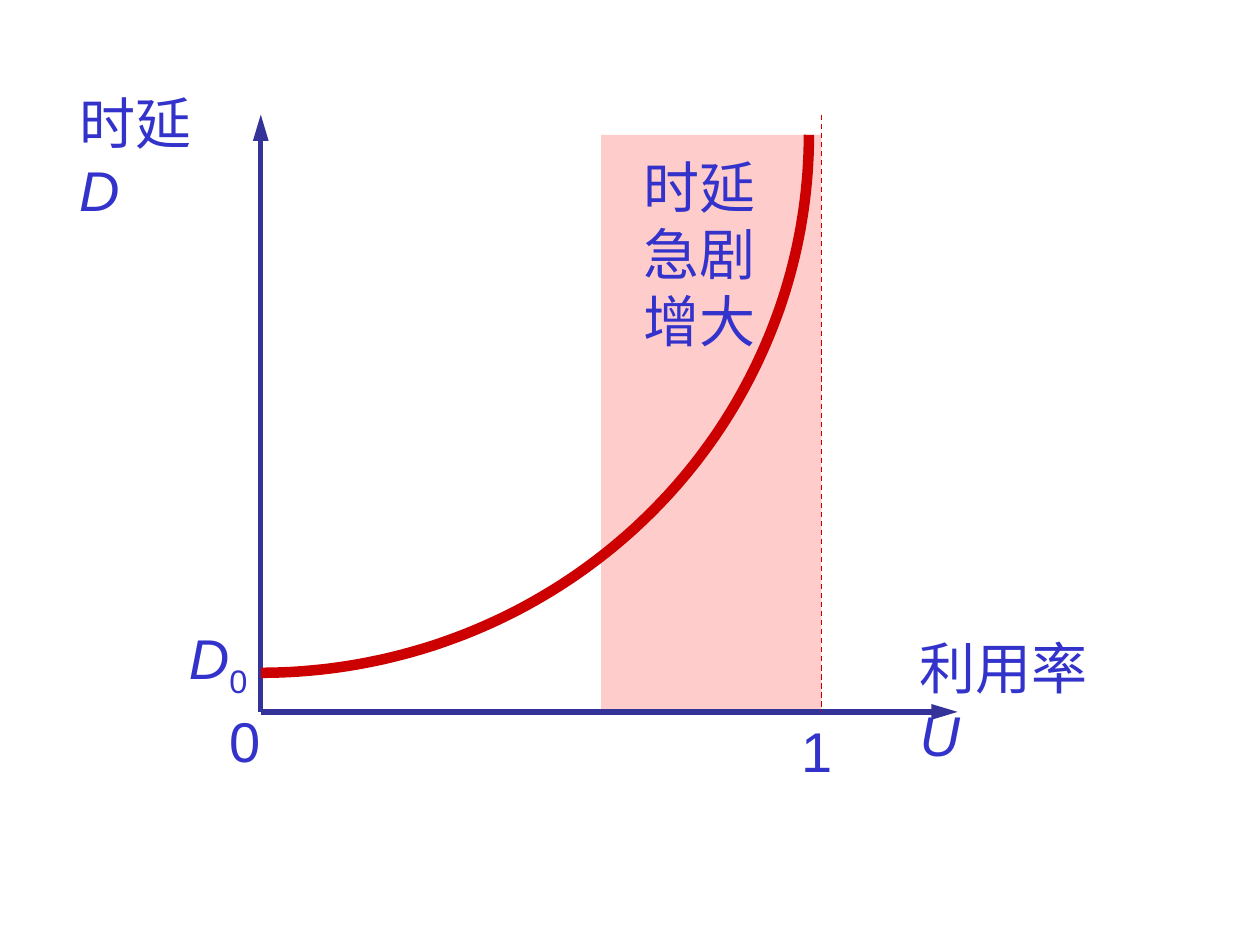
import math

from pptx import Presentation
from pptx.dml.color import RGBColor
from pptx.enum.dml import MSO_LINE
from pptx.enum.shapes import MSO_CONNECTOR, MSO_SHAPE
from pptx.enum.text import MSO_AUTO_SIZE
from pptx.oxml.ns import qn
from pptx.oxml.xmlchemy import OxmlElement
from pptx.util import Inches, Pt

RECT = MSO_SHAPE.RECTANGLE
STRAIGHT = MSO_CONNECTOR.STRAIGHT
DASH = MSO_LINE.DASH
GROW = MSO_AUTO_SIZE.SHAPE_TO_FIT_TEXT

BLUE = RGBColor(0x33, 0x33, 0xCC)
NAVY = RGBColor(0x33, 0x33, 0x99)
RED = RGBColor(0xCC, 0x00, 0x00)
PINK = RGBColor(0xFF, 0xCC, 0xCC)

LEFT, BASE, TOP = 2.07, 5.65, 0.91      # axes
LIMIT = 6.52                            # full use
ZONE, PEAK = 4.77, 1.07                 # shaded part
WIDE, HIGH = 4.35, 4.27                 # radii of the curve
STEPS = 90


class Graph:
    font = "Arial"
    size = 32

    def __init__(self, slide):
        self.shapes = slide.shapes

    def band(self, x, y, w, h, color):
        box = self.shapes.add_shape(RECT, Inches(x), Inches(y), Inches(w), Inches(h))
        box.shadow.inherit = False
        box.fill.solid()
        box.fill.fore_color.rgb = color
        box.line.fill.background()

    def line(self, start, end, color, width, arrow=False, dash=None):
        ends = [Inches(v) for v in (*start, *end)]
        line = self.shapes.add_connector(STRAIGHT, *ends)
        line.line.color.rgb = color
        line.line.width = Pt(width)
        if dash:
            line.line.dash_style = dash
        props = line.element.spPr
        if arrow:
            tip = OxmlElement("a:tailEnd")
            tip.set("type", "triangle")
            tip.set("len", "lg")
            props.find(qn("a:ln")).append(tip)
        props.append(OxmlElement("a:effectLst"))

    def curve(self, points, color, width):
        dots = [(Inches(x), Inches(y)) for x, y in points]
        pen = self.shapes.build_freeform(*dots[0])
        pen.add_line_segments(dots[1:], close=False)
        curve = pen.convert_to_shape()
        curve.shadow.inherit = False
        curve.fill.background()
        curve.line.color.rgb = color
        curve.line.width = Pt(width)

    def text(self, x, y, w, h, *paras, inset=None):
        """Each paragraph is a list of (text, font settings); an inset turns wrapping on."""
        box = self.shapes.add_textbox(Inches(x), Inches(y), Inches(w), Inches(h))
        frame = box.text_frame
        frame.auto_size = GROW
        frame.word_wrap = inset is not None
        if inset is not None:
            frame.margin_right = Inches(inset)
        for i, runs in enumerate(paras):
            para = frame.add_paragraph() if i else frame.paragraphs[0]
            for words, style in runs:
                self.run(para, words, **style)

    def run(self, para, words, size=None, italic=False, shift=None):
        run = para.add_run()
        run.text = words
        font = run.font
        font.name = self.font
        font.size = Pt(size or self.size)
        font.italic = italic
        font.color.rgb = BLUE
        if shift:
            run.font._element.set("baseline", str(shift * 1000))

    def axis_name(self, x, y, w, name, sign):
        """Name with its symbol wrapped to the line below."""
        runs = [(name, {}), (" ", {"size": 16}), (sign, {"italic": True})]
        self.text(x, y, w, 0.63, runs, inset=0.3)


def main():
    prs = Presentation()
    prs.slide_width, prs.slide_height = Inches(10), Inches(7.5)
    graph = Graph(prs.slides.add_slide(prs.slide_layouts[6]))

    graph.band(ZONE, PEAK, LIMIT - ZONE, BASE - PEAK, PINK)
    graph.axis_name(0.53, 0.65, 1.47, "时延", "D")
    graph.line((LEFT, BASE), (LEFT, TOP), NAVY, 3, arrow=True)
    graph.line((LEFT, BASE), (7.6, BASE), NAVY, 3, arrow=True)
    graph.line((LIMIT, TOP), (LIMIT, BASE), RED, 0.75, dash=DASH)

    turns = [math.pi / 2 * i / STEPS for i in range(STEPS + 1)]
    graph.curve([(LEFT + WIDE * math.sin(t), PEAK + HIGH * math.cos(t))
                 for t in turns], RED, 6)

    graph.axis_name(7.2, 4.98, 1.92, "利用率", "U")
    graph.text(6.26, 5.64, 0.45, 0.63, [("1", {})])
    graph.text(1.72, 5.56, 0.45, 0.63, [("0", {})])
    graph.text(1.4, 4.9, 0.68, 0.63, [("D", {"italic": True}), ("0", {"shift": -25})])
    graph.text(5.01, 1.16, 1.09, 1.7, *([(t, {})] for t in ("时延", "急剧", "增大")))

    prs.save("out.pptx")


if __name__ == "__main__":
    main()
